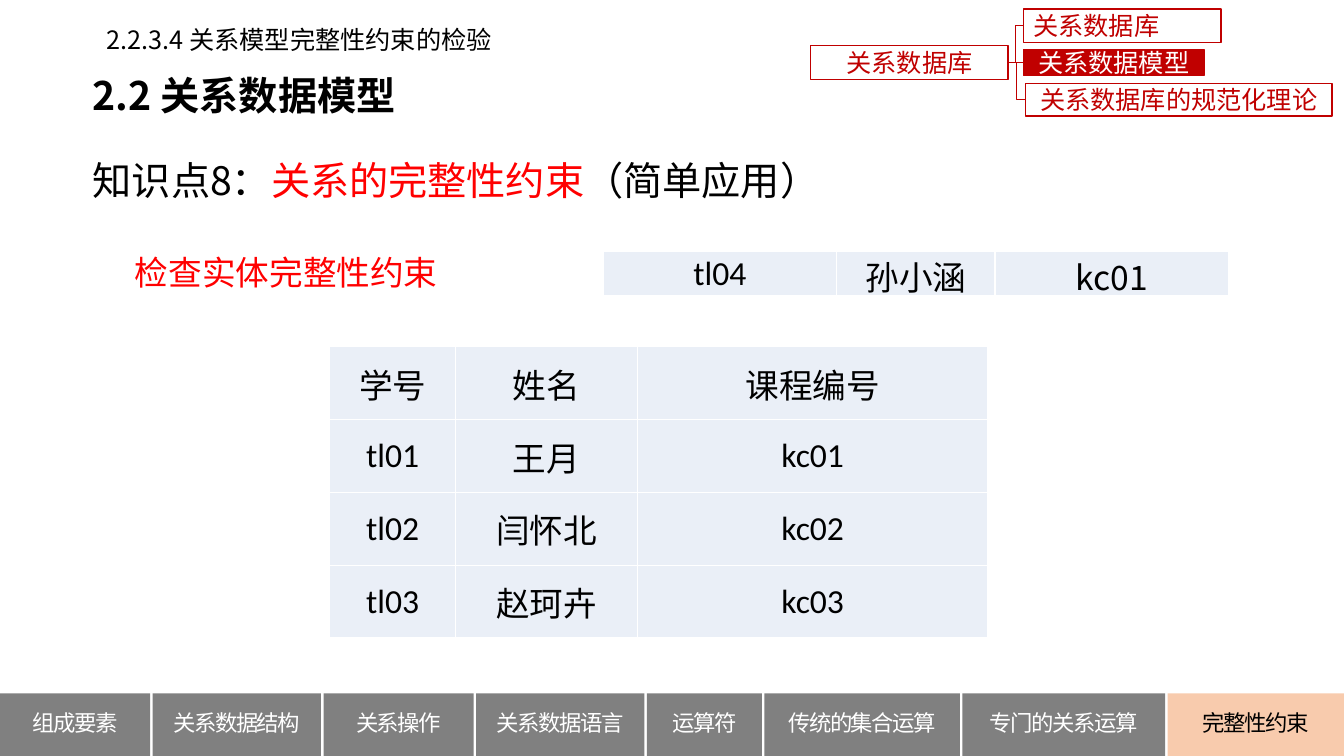
from dataclasses import dataclass

from lxml import etree
from pptx import Presentation
from pptx.dml.color import RGBColor
from pptx.enum.shapes import MSO_CONNECTOR, MSO_SHAPE
from pptx.enum.text import MSO_ANCHOR, PP_ALIGN
from pptx.oxml.ns import qn
from pptx.util import Inches, Pt

RECTANGLE = MSO_SHAPE.RECTANGLE
ELBOW = MSO_CONNECTOR.ELBOW
LEFT, CENTER = PP_ALIGN.LEFT, PP_ALIGN.CENTER
TOP, MIDDLE = MSO_ANCHOR.TOP, MSO_ANCHOR.MIDDLE
LEFT_SIDE, RIGHT_SIDE = 1, 3
BLACK, WHITE, RED, DARK_RED = "000000", "FFFFFF", "FF0000", "C00000"
GRAY, PEACH, PALE_BLUE = "808080", "F8CBAD", "EAEFF7"
SANS, SANS_JP, LATIN = "Noto Sans CJK SC", "Noto Sans CJK JP", "Calibri"
SLIDE_WIDTH, SLIDE_HEIGHT = 13.33, 7.5
TAB_TOP = 6.88


@dataclass
class Box:
    left: float
    top: float
    width: float
    height: float

    def lengths(self):
        return [Inches(value) for value in (self.left, self.top, self.width, self.height)]


@dataclass
class Label:
    box: Box
    segments: list[tuple[str, str]]
    size: int
    font: str = SANS
    bold: bool = False
    anchor: MSO_ANCHOR = TOP
    line_spacing: float | None = None
    margins: tuple[float, float] = (0.1, 0.05)
    wrap: bool = True


@dataclass
class Topic:
    text: str
    box: Box
    fill: str = WHITE
    color: str = DARK_RED
    align: PP_ALIGN = CENTER


@dataclass
class Tab:
    text: str
    width: float
    fill: str = GRAY
    color: str = WHITE


@dataclass
class Grid:
    box: Box
    widths: list[float]
    rows: list[list[str]]
    fonts: list[str]


def rgb(color: str) -> RGBColor:
    return RGBColor.from_string(color)


def format_run(run, size: int, color: str, font: str = SANS, bold: bool = False) -> None:
    run.font.size = Pt(size)
    run.font.bold = bold
    run.font.color.rgb = rgb(color)
    run.font.name = font
    east_asian = etree.SubElement(run.font._element, qn("a:ea"))
    east_asian.set("typeface", SANS if font == LATIN else font)


def add_label(slide, label: Label) -> None:
    frame = slide.shapes.add_textbox(*label.box.lengths()).text_frame
    frame.word_wrap = label.wrap
    frame.vertical_anchor = label.anchor
    side, edge = label.margins
    frame.margin_left = frame.margin_right = Inches(side)
    frame.margin_top = frame.margin_bottom = Inches(edge)
    paragraph = frame.paragraphs[0]
    paragraph.line_spacing = label.line_spacing
    for text, color in label.segments:
        run = paragraph.add_run()
        run.text = text
        format_run(run, label.size, color, label.font, label.bold)


def add_rectangle(shapes, box: Box, text: str, fill: str, color: str, size: int):
    shape = shapes.add_shape(RECTANGLE, *box.lengths())
    shape.shadow.inherit = False
    shape.fill.solid()
    shape.fill.fore_color.rgb = rgb(fill)
    frame = shape.text_frame
    frame.text = text
    frame.word_wrap = True
    frame.vertical_anchor = MIDDLE
    frame.paragraphs[0].alignment = CENTER
    format_run(frame.paragraphs[0].runs[0], size, color)
    return shape


def add_topic(slide, topic: Topic):
    shape = add_rectangle(slide.shapes, topic.box, topic.text, topic.fill, topic.color, 18)
    shape.line.color.rgb = rgb(DARK_RED)
    shape.line.width = Pt(1)
    shape.text_frame.paragraphs[0].alignment = topic.align
    return shape


def add_branch(slide, topic_shape, root_shape) -> None:
    connector = slide.shapes.add_connector(ELBOW, 0, 0, 0, 0)
    connector.begin_connect(topic_shape, LEFT_SIDE)
    connector.end_connect(root_shape, RIGHT_SIDE)
    connector.line.color.rgb = rgb(DARK_RED)
    connector.line.width = Pt(0.5)
    etree.SubElement(connector._element.spPr, qn("a:effectLst"))


def add_tabs(slide, tabs: list[Tab]) -> None:
    group = slide.shapes.add_group_shape()
    gap = (SLIDE_WIDTH - sum(tab.width for tab in tabs)) / (len(tabs) - 1)
    left = 0.0
    for tab in tabs:
        box = Box(left, TAB_TOP, tab.width, SLIDE_HEIGHT - TAB_TOP)
        shape = add_rectangle(group.shapes, box, tab.text, tab.fill, tab.color, 16)
        shape.line.fill.background()
        paragraph = shape.text_frame.paragraphs[0]
        paragraph.line_spacing = Pt(16)
        paragraph.runs[0].font._element.set("spc", "-100")
        left += tab.width + gap


def format_cell(cell, text: str, font: str) -> None:
    cell.text = text
    cell.vertical_anchor = MIDDLE
    cell.margin_left = cell.margin_right = cell.margin_top = Inches(0.01)
    cell.margin_bottom = 0
    properties = cell._tc.get_or_add_tcPr()
    for side in ("a:lnL", "a:lnR", "a:lnT", "a:lnB"):
        border = etree.SubElement(properties, qn(side), w=str(Pt(1)))
        border_fill = etree.SubElement(border, qn("a:solidFill"))
        etree.SubElement(border_fill, qn("a:srgbClr"), val=WHITE)
    cell.fill.solid()
    cell.fill.fore_color.rgb = rgb(PALE_BLUE)
    paragraph = cell.text_frame.paragraphs[0]
    paragraph.alignment = CENTER
    format_run(paragraph.runs[0], 24, BLACK, font)


def add_grid(slide, grid: Grid) -> None:
    frame = slide.shapes.add_table(len(grid.rows), len(grid.widths), *grid.box.lengths())
    table = frame.table
    table.first_row = table.horz_banding = False
    for column, width in zip(table.columns, grid.widths):
        column.width = Inches(width)
    for row_index, row in enumerate(grid.rows):
        for column_index, text in enumerate(row):
            format_cell(table.cell(row_index, column_index), text, grid.fonts[column_index])


LABELS = [
    Label(Box(0.8, 0.65, 9.65, 0.59), [("2.2 关系数据模型", BLACK)], 28, bold=True, margins=(0.12, 0.06)),
    Label(Box(0.8, 1.15, 12.16, 1.04),
          [("知识点8：", BLACK), ("关系的完整性约束", RED), ("（简单应用）", BLACK)],
          28, anchor=MIDDLE, line_spacing=1.5, margins=(0.12, 0.06)),
    Label(Box(1.24, 2.34, 3.45, 0.62), [("检查实体完整性约束", RED)], 24, SANS_JP, line_spacing=Pt(37)),
    Label(Box(0.96, 0.19, 4.08, 0.4), [("2.2.3.4 关系模型完整性约束的检验", BLACK)], 18, wrap=False),
]
ROOT = Topic("关系数据库", Box(8.04, 0.45, 1.96, 0.34))
TOPICS = [
    Topic("关系数据库", Box(10.15, 0.09, 1.96, 0.33), align=LEFT),
    Topic("关系数据模型", Box(10.15, 0.49, 1.79, 0.26), DARK_RED, WHITE),
    Topic("关系数据库的规范化理论", Box(10.17, 0.83, 3.04, 0.32)),
]
TABS = [
    Tab("组成要素", 1.49), Tab("关系数据结构", 1.67), Tab("关系操作", 1.49), Tab("关系数据语言", 1.67),
    Tab("运算符", 1.14), Tab("传统的集合运算", 1.94), Tab("专门的关系运算", 2.01),
    Tab("完整性约束", 1.75, PEACH, BLACK),
]
STUDENTS = [["学号", "姓名", "课程编号"], ["tl01", "王月", "kc01"], ["tl02", "闫怀北", "kc02"], ["tl03", "赵珂卉", "kc03"]]
GRIDS = [
    Grid(Box(3.27, 3.44, 6.53, 2.89), [1.25, 1.8, 3.48], STUDENTS, [LATIN] * 3),
    Grid(Box(5.98, 2.49, 6.21, 0.44), [2.32, 1.57, 2.32], [["tl04", "孙小涵", "kc01"]], [LATIN, SANS, SANS]),
]


def main() -> None:
    presentation = Presentation()
    presentation.slide_width = Inches(SLIDE_WIDTH)
    presentation.slide_height = Inches(SLIDE_HEIGHT)
    slide = presentation.slides.add_slide(presentation.slide_layouts[6])
    for label in LABELS:
        add_label(slide, label)
    add_tabs(slide, TABS)
    for grid in GRIDS:
        add_grid(slide, grid)
    root_shape = add_topic(slide, ROOT)
    for topic in TOPICS:
        add_branch(slide, add_topic(slide, topic), root_shape)
    presentation.save("out.pptx")


if __name__ == "__main__":
    main()
